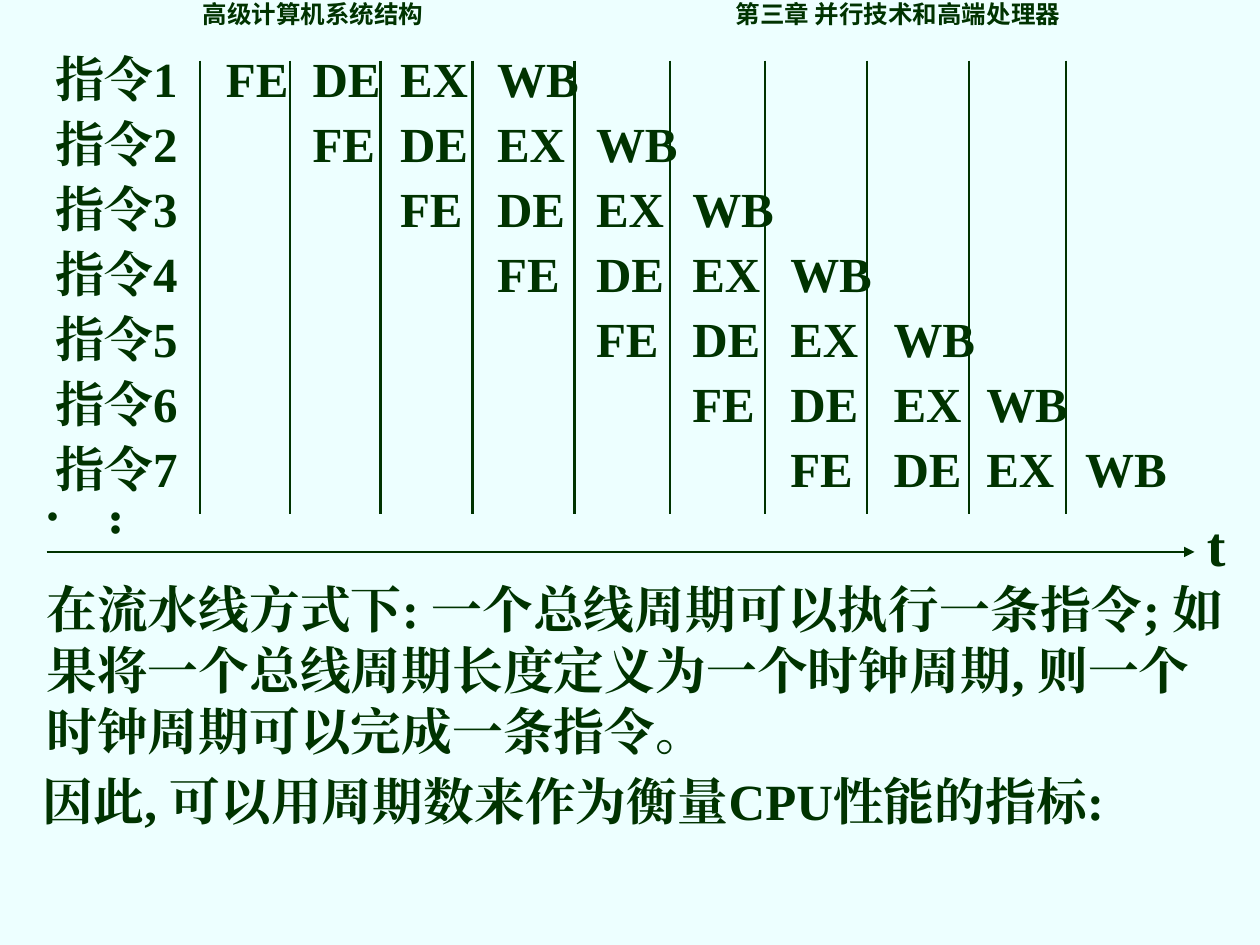
"""Build the slide on pipelined instruction execution."""
import pptx
import pptx.dml.color
import pptx.enum.shapes
import pptx.enum.text
import pptx.oxml
import pptx.oxml.ns
import pptx.util
from dataclasses import dataclass

Pt = pptx.util.Pt
qn = pptx.oxml.ns.qn


@dataclass(frozen=True)
class Theme:
    ink: pptx.dml.color.RGBColor = pptx.dml.color.RGBColor(0x00, 0x33, 0x00)
    paper: pptx.dml.color.RGBColor = pptx.dml.color.RGBColor(0xED, 0xFF, 0xFF)
    serif: str = "Times New Roman"
    sans: str = "Noto Sans CJK SC"
    header: float = 14
    stage: float = 28
    body: float = 29
    dots: float = 30
    axis: float = 32


theme = Theme()
presentation = pptx.Presentation()
presentation.slide_width, presentation.slide_height = Pt(720), Pt(540)
slide = presentation.slides.add_slide(presentation.slide_layouts[6])
slide.background.fill.solid()
slide.background.fill.fore_color.rgb = theme.paper


def add_text(text, left, top, width, height, size, typeface=theme.serif, spacing=None, tab_rows=()):
    frame = slide.shapes.add_textbox(Pt(left), Pt(top), Pt(width), Pt(height)).text_frame
    frame.word_wrap = True
    frame.text = text
    for paragraph, stops in zip(frame.paragraphs, tab_rows):
        tabs = pptx.oxml.ns.nsdecls("a")
        tabs = pptx.oxml.parse_xml(f"<a:tabLst {tabs}/>")
        for stop in stops:
            tabs.append(tabs.makeelement(qn("a:tab"), {"pos": str(Pt(stop)), "algn": "l"}))
        paragraph._p.get_or_add_pPr().append(tabs)
    for paragraph in frame.paragraphs:
        paragraph.line_spacing = spacing or Pt(1.2 * size)
        for run in paragraph.runs:
            run.font.size = Pt(size)
            run.font.bold = True
            run.font.name = typeface
            run.font.color.rgb = theme.ink
            properties = run.font._element
            properties.append(properties.makeelement(qn("a:ea"), {"typeface": typeface}))
    return frame


def add_line(x1, y1, x2, y2, weight):
    line = slide.shapes.add_connector(
        pptx.enum.shapes.MSO_CONNECTOR.STRAIGHT, Pt(x1), Pt(y1), Pt(x2), Pt(y2))
    line.line.color.rgb = theme.ink
    line.line.width = Pt(weight)
    properties = line._element.spPr
    properties.append(properties.makeelement(qn("a:effectLst"), {}))
    return line


add_text("高级计算机系统结构\t第三章 并行技术和高端处理器", 108.7, 0.7, 530, 19.4,
         theme.header, theme.sans, 0.7, [[304.5]])

stages = ["FE", "DE", "EX", "WB"]
cycle_starts = [97.5, 147, 197, 252.5, 309, 364, 420, 479, 532, 588.5]
instruction_count = 7
pipeline = add_text(
    "\n".join("\t".join([f"指令{number}", *stages]) for number in range(1, instruction_count + 1)),
    24.5, 24.5, 660, 263.5, theme.stage,
    tab_rows=[cycle_starts[first:first + len(stages)] for first in range(instruction_count)])
for instruction in pipeline.paragraphs[1:]:
    instruction.space_before = Pt(3.5)

for boundary in [114.5, 165.6, 217.4, 270, 328.3, 383, 437, 495.4, 553.7, 609.1]:
    add_line(boundary, 34.6, boundary, 293.8, 1.25)

dots = add_text("...", 47.5, 284.4, 50.4, 36, theme.dots)
dots._txBody.bodyPr.set("vert", "eaVert")
dots.margin_left = dots.margin_right = Pt(3.6)
dots.margin_top = dots.margin_bottom = Pt(7.2)

time_axis = add_line(26.6, 315.4, 682.6, 315.4, 1.5)
axis_stroke = time_axis.line._get_or_add_ln()
axis_stroke.append(axis_stroke.makeelement(qn("a:tailEnd"), {"type": "triangle"}))
add_text("t", 682.6, 288, 43.9, 46, theme.axis)

add_text("在流水线方式下: 一个总线周期可以执行一条指令; "
         "如果将一个总线周期长度定义为一个时钟周期, 则一个时钟周期可以完成一条指令。",
         19.4, 326.9, 689, 111.6, theme.body)
add_text("因此, 可以用周期数来作为衡量CPU性能的指标:", 17.3, 436.5, 650, 77, theme.body)

presentation.save("out.pptx")
